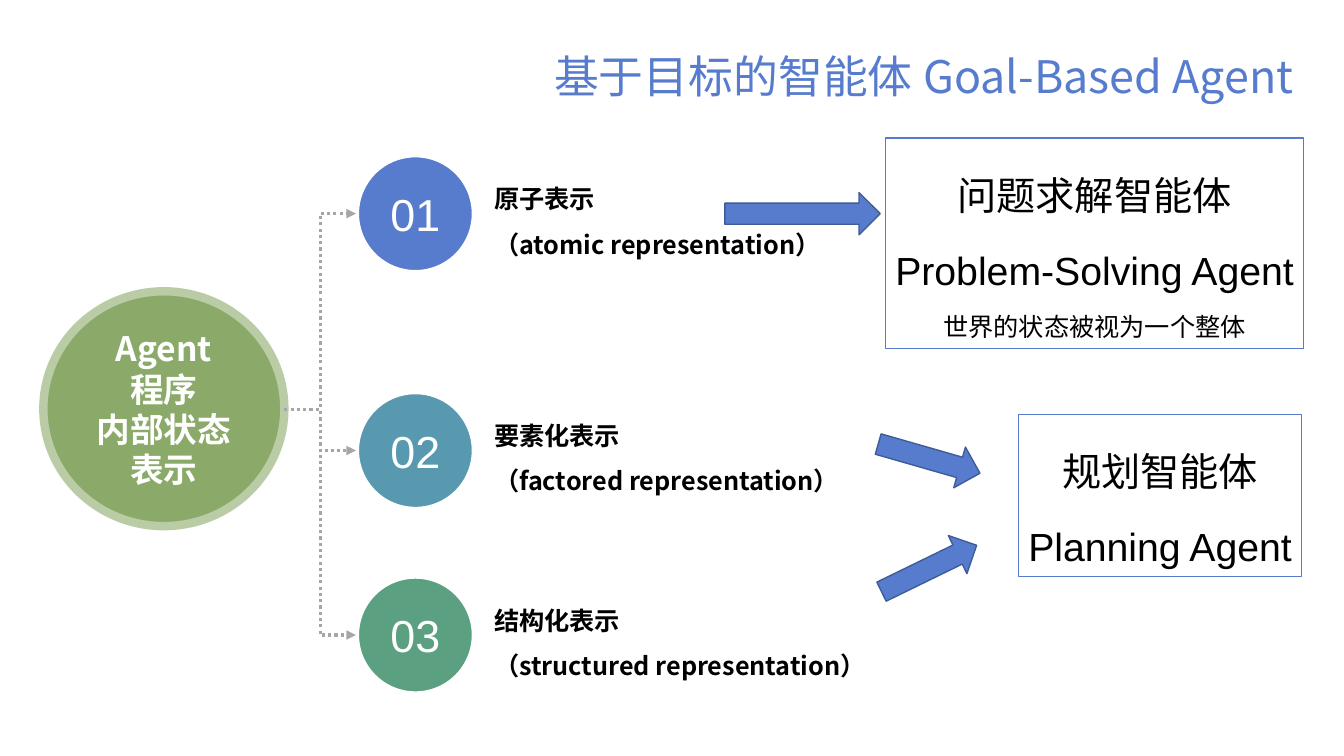
from lxml.etree import SubElement
from pptx import Presentation
from pptx.dml.color import RGBColor
from pptx.enum.dml import MSO_LINE as Dash
from pptx.enum.shapes import MSO_CONNECTOR as Link, MSO_SHAPE as Shape
from pptx.enum.text import MSO_ANCHOR as Anchor, MSO_AUTO_SIZE as Fit, PP_ALIGN as Align
from pptx.oxml.ns import qn
from pptx.util import Inches, Pt

BLUE = RGBColor(0x57, 0x7C, 0xCE)
NAVY = RGBColor(0x40, 0x5C, 0x98)
TEAL = RGBColor(0x59, 0x99, 0xAF)
GREEN = RGBColor(0x5B, 0xA0, 0x80)
OLIVE = RGBColor(0x8B, 0xAA, 0x69)
PALE = RGBColor(0xB9, 0xCC, 0xA5)
GREY = RGBColor(0xA6, 0xA6, 0xA6)
WHITE = RGBColor(0xFF, 0xFF, 0xFF)
BLACK = RGBColor(0, 0, 0)
SANS, ARIAL = "Noto Sans CJK SC", "Arial"

TITLE = "基于目标的智能体 Goal-Based Agent"
ROOT = ["Agent", "程序", "内部状态表示"]
ROWS = [
    ("01", 2.12, BLUE, ["原子表示", "（atomic representation）"]),
    ("02", 4.47, TEAL, ["要素化表示", "（factored representation）"]),
    ("03", 6.3, GREEN, ["结构化表示", "（structured representation）"]),
]
BOXES = [
    ((8.78, 1.37, 4.15, 2.09),
     [("问题求解智能体", 28), ("Problem-Solving Agent", 28), ("世界的状态被视为一个整体", 18)]),
    ((10.1, 4.11, 2.81, 1.61), [("规划智能体", 28), ("Planning Agent", 28)]),
]
ARROWS = [(7.19, 1.91, 1.54, 0), (8.69, 4.34, 1.05, 16), (8.69, 5.43, 1.05, 334)]
DISC, LEFT, LABEL = 1.18, 3.53, 1.01
HUB = (2.82, 4.06)


def write(frame, lines, font, color, align, bold=False, gap=None, anchor=Anchor.MIDDLE):
    """Fill a text frame with (text, size) lines."""
    frame.word_wrap = True
    frame.vertical_anchor = anchor
    for i, (text, size) in enumerate(lines):
        para = frame.add_paragraph() if i else frame.paragraphs[0]
        para.alignment = align
        if gap:
            para.line_spacing = gap
        run = para.add_run()
        run.text = text
        run.font.size = Pt(size)
        run.font.bold = bold
        run.font.name = font
        run.font.color.rgb = color
        SubElement(run.font._element, qn("a:ea"), typeface=SANS)


def draw(shapes, kind, at, fill, edge, width):
    """Add a filled, outlined shape."""
    shape = shapes.add_shape(kind, *map(Inches, at))
    shape.shadow.inherit = False
    shape.fill.solid()
    shape.fill.fore_color.rgb = fill
    shape.line.color.rgb = edge
    shape.line.width = Pt(width)
    return shape


def join(shapes, start, end):
    """Add a dotted elbow arrow."""
    link = shapes.add_connector(Link.ELBOW, *map(Inches, start + end))
    link.line.color.rgb = GREY
    link.line.width = Pt(2.25)
    link.line.dash_style = Dash.ROUND_DOT
    SubElement(link.line._get_or_add_ln(), qn("a:tailEnd"), type="triangle")
    SubElement(link._element.spPr, qn("a:effectLst"))


def main():
    """Build the slide."""
    deck = Presentation()
    deck.slide_width, deck.slide_height = Inches(13.33), Inches(7.5)
    slide = deck.slides.add_slide(deck.slide_layouts[5])
    shapes = slide.shapes

    title = shapes.title
    title.left, title.top = Inches(0.99), Inches(0.12)
    title.width, title.height = Inches(11.94), Inches(1.25)
    write(title.text_frame, [(TITLE, 32)], SANS, BLUE, Align.RIGHT)

    root = draw(shapes, Shape.OVAL, (0.43, 2.89, 2.39, 2.33), OLIVE, PALE, 6)
    write(root.text_frame, [(t, 24) for t in ROOT], SANS, WHITE, Align.CENTER, True)

    for num, mid, color, lines in ROWS:
        group = shapes.add_group_shape().shapes
        disc = draw(group, Shape.OVAL, (LEFT, mid - DISC / 2, DISC, DISC), color, WHITE, 4.5)
        write(disc.text_frame, [(num, 32)], ARIAL, WHITE, Align.CENTER)
        label = group.add_textbox(*map(Inches, (4.9, mid - LABEL / 2, 3.88, LABEL)))
        frame = label.text_frame
        frame.margin_left = frame.margin_right = 0
        write(frame, [(t, 18) for t in lines], SANS, BLACK, Align.LEFT, True, 1.5)
        join(shapes, HUB, (LEFT, mid))

    for at, lines in BOXES:
        box = draw(shapes, Shape.RECTANGLE, at, WHITE, BLUE, 1)
        write(box.text_frame, lines, ARIAL, BLACK, Align.CENTER, gap=1.6, anchor=Anchor.TOP)
        box.text_frame.word_wrap = False
        box.text_frame.auto_size = Fit.SHAPE_TO_FIT_TEXT

    for left, top, width, turn in ARROWS:
        arrow = draw(shapes, Shape.RIGHT_ARROW, (left, top, width, 0.42), BLUE, NAVY, 1)
        arrow.rotation = turn

    deck.save("out.pptx")


if __name__ == "__main__":
    main()
